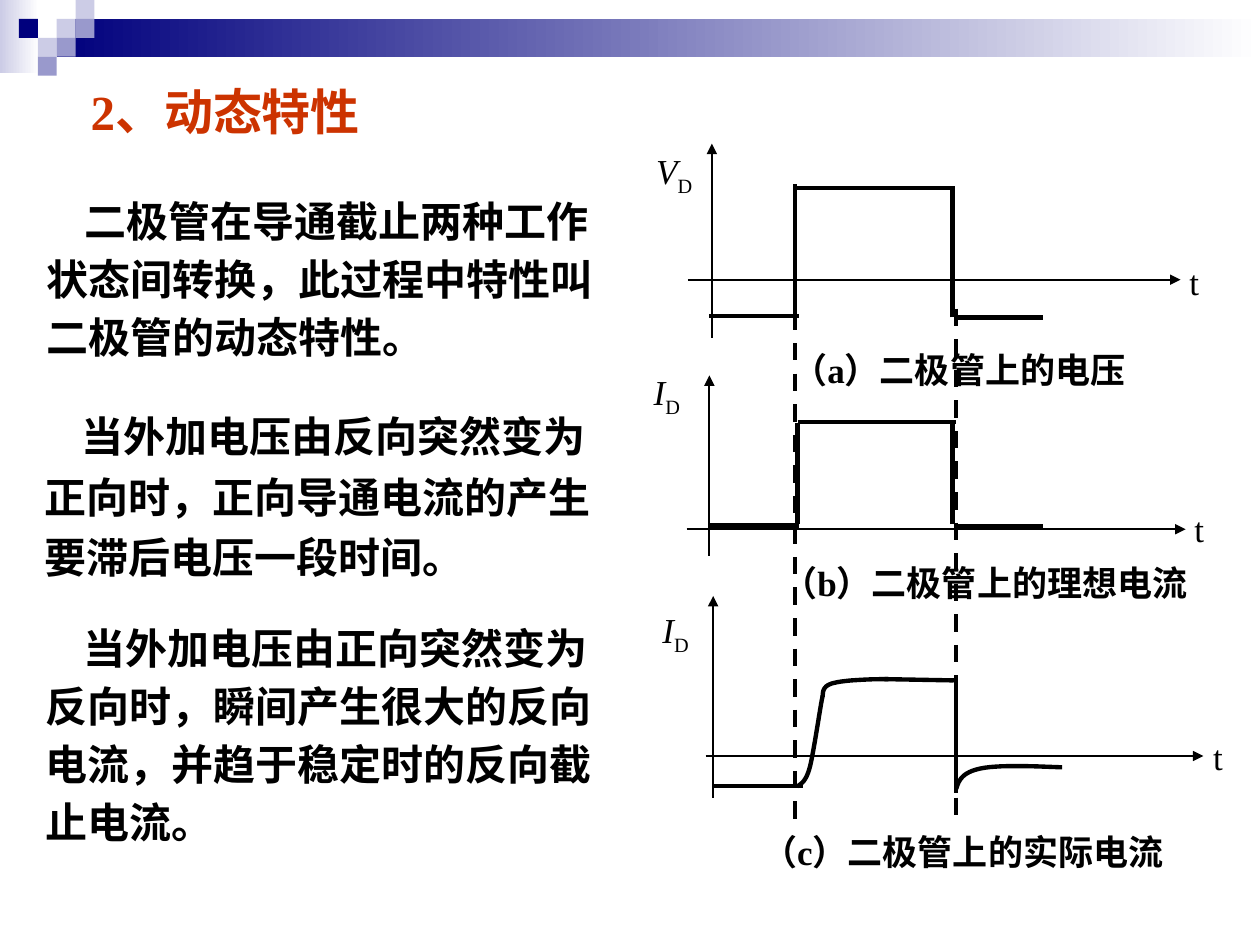
from dataclasses import dataclass

from lxml.etree import SubElement
from pptx import Presentation
from pptx.dml.color import RGBColor
from pptx.enum.dml import MSO_LINE_DASH_STYLE as Dash
from pptx.enum.shapes import MSO_CONNECTOR as Connector, MSO_SHAPE as Shape
from pptx.enum.text import MSO_ANCHOR as Anchor, MSO_AUTO_SIZE as AutoSize, PP_ALIGN as Align
from pptx.oxml.ns import qn
from pptx.util import Pt

EMU_PER_PX = 9144  # 100 px to the inch
SQUARE = 15
CURVE_STEPS = 12

Point = tuple[int, int]
Box = tuple[int, int, int, int]


@dataclass(frozen=True)
class Theme:
    navy: str = "00007D"
    violet: str = "9999CC"
    pale: str = "CCCCE6"
    white: str = "FFFFFF"
    accent: str = "CC3300"
    ink: str = "000000"
    serif: str = "Times New Roman"
    sans: str = "Noto Sans CJK SC"
    title_size: int = 28
    body_size: int = 24
    label_size: int = 20
    axis_width: float = 1.25
    signal_width: float = 2.5


@dataclass(frozen=True)
class Run:
    text: str
    size: int
    font: str
    color: str = "000000"
    bold: bool = False
    italic: bool = False
    subscript: bool = False


@dataclass(frozen=True)
class Passage:
    placeholder: int
    box: Box
    spacing: float
    text: str


@dataclass(frozen=True)
class Plot:
    time_axis: tuple[Point, Point]
    value_axis: tuple[Point, Point]
    signal: list[tuple[Point, Point]]
    curves: list[list[Point]]  # a start point, then three points per Bézier arc
    symbol: str
    symbol_box: Box
    time_box: Box
    caption: str
    caption_box: Box


THEME = Theme()

PASSAGES = [
    Passage(1, (27, 144, 456, 148), 1.15,
            "二极管在导通截止两种工作状态间转换，此过程中特性叫二极管的动态特性。"),
    Passage(2, (25, 313, 456, 154), 1.2,
            "当外加电压由反向突然变为正向时，正向导通电流的产生要滞后电压一段时间。"),
    Passage(3, (26, 483, 456, 194), 1.15,
            "当外加电压由正向突然变为反向时，瞬间产生很大的反向电流，并趋于稳定时的反向截止电流。"),
]

PLOTS = [
    Plot(((546, 222), (937, 222)), ((565, 268), (565, 114)),
         [((563, 251), (634, 251)), ((631, 251), (631, 146)), ((632, 149), (758, 149)),
          ((756, 252), (756, 148)), ((757, 252), (828, 252))],
         [], "V", (511, 114, 77, 48), (934, 202, 29, 44),
         "（a）二极管上的电压", (619, 272, 333, 44)),
    Plot(((545, 420), (941, 420)), ((563, 441), (563, 298)),
         [((563, 417), (634, 417)), ((633, 416), (633, 336)), ((633, 335), (759, 335)),
          ((757, 418), (828, 418)), ((756, 416), (756, 333))],
         [], "I", (509, 289, 77, 48), (938, 398, 29, 44),
         "（b）二极管上的理想电流", (611, 441, 389, 44)),
    Plot(((560, 600), (955, 600)), ((566, 633), (566, 473)),
         [((566, 624), (637, 624)), ((702, 539), (757, 540)), ((759, 629), (759, 541))],
         [[(633, 624), (636, 622), (640, 620), (643, 608), (646, 596), (651, 561), (653, 552)],
          [(653, 553), (653, 549), (653, 544), (662, 542), (670, 540), (688, 539), (705, 539)],
          [(759, 626), (761, 619), (764, 613), (778, 610), (792, 607), (817, 608), (843, 609)]],
         "I", (516, 478, 76, 48), (953, 579, 29, 44),
         "（c）二极管上的实际电流", (595, 654, 389, 44)),
]

SWITCHING_MARKS = [((631, 248), (631, 659)), ((759, 245), (759, 656))]


def px(length: float) -> int:
    return round(length * EMU_PER_PX)


def rgb(color: str) -> RGBColor:
    return RGBColor.from_string(color)


def add_block(slide, box: Box, color: str, fades: bool = False) -> None:
    shape = slide.shapes.add_shape(Shape.RECTANGLE, *map(px, box))
    shape.shadow.inherit = False
    shape.line.fill.background()
    if fades:
        shape.fill.gradient()
        shape.fill.gradient_angle = 180
        for stop, tint in zip(shape.fill.gradient_stops, (THEME.white, color)):
            stop.color.rgb = rgb(tint)
    else:
        shape.fill.solid()
        shape.fill.fore_color.rgb = rgb(color)


def add_line(slide, ends: tuple[Point, Point], width: float,
             arrow: bool = False, dashed: bool = False) -> None:
    (x1, y1), (x2, y2) = ends
    connector = slide.shapes.add_connector(Connector.STRAIGHT, px(x1), px(y1), px(x2), px(y2))
    connector.line.color.rgb = rgb(THEME.ink)
    connector.line.width = Pt(width)
    if dashed:
        connector.line.dash_style = Dash.DASH
    properties = connector._element.spPr
    if arrow:
        SubElement(properties.find(qn("a:ln")), qn("a:tailEnd"), type="triangle")
    SubElement(properties, qn("a:effectLst"))


def add_curve(slide, points: list[Point]) -> None:
    outline = []
    for first in range(0, len(points) - 1, 3):
        arc = points[first:first + 4]
        for step in range(1, CURVE_STEPS + 1):
            t = step / CURVE_STEPS
            weights = ((1 - t) ** 3, 3 * t * (1 - t) ** 2, 3 * t ** 2 * (1 - t), t ** 3)
            outline.append(tuple(px(sum(w * point[axis] for w, point in zip(weights, arc)))
                                 for axis in (0, 1)))
    builder = slide.shapes.build_freeform(px(points[0][0]), px(points[0][1]))
    builder.add_line_segments(outline, close=False)
    shape = builder.convert_to_shape()
    shape.shadow.inherit = False
    shape.fill.background()
    shape.line.color.rgb = rgb(THEME.ink)
    shape.line.width = Pt(THEME.signal_width)


def write(shape, runs: list[Run], spacing: float = 1.0, indent: int = 0) -> None:
    frame = shape.text_frame
    frame.word_wrap = True
    frame.auto_size = AutoSize.NONE
    frame.vertical_anchor = Anchor.TOP
    paragraph = frame.paragraphs[0]
    paragraph.alignment = Align.LEFT
    paragraph.line_spacing = spacing
    paragraph.space_before = Pt(0)
    properties = paragraph._p.get_or_add_pPr()
    properties.set("marL", "0")
    properties.set("indent", str(px(indent)))
    SubElement(properties, qn("a:buNone"))
    for item in runs:
        run = paragraph.add_run()
        run.text = item.text
        run.font.size = Pt(item.size)
        run.font.bold = item.bold
        run.font.italic = item.italic
        run.font.color.rgb = rgb(item.color)
        run.font.name = item.font
        run_properties = run._r.get_or_add_rPr()
        SubElement(run_properties, qn("a:ea"), typeface=THEME.sans)
        if item.subscript:
            run_properties.set("baseline", "-25000")


def place(shape, box: Box) -> None:
    shape.left, shape.top, shape.width, shape.height = map(px, box)


def add_label(slide, box: Box, runs: list[Run]) -> None:
    write(slide.shapes.add_textbox(*map(px, box)), runs)


def add_plot(slide, plot: Plot) -> None:
    for axis in (plot.time_axis, plot.value_axis):
        add_line(slide, axis, THEME.axis_width, arrow=True)
    for segment in plot.signal:
        add_line(slide, segment, THEME.signal_width)
    for curve in plot.curves:
        add_curve(slide, curve)


def add_plot_labels(slide, plot: Plot) -> None:
    size, font = THEME.label_size, THEME.serif
    add_label(slide, plot.caption_box, [Run(plot.caption, size, font, bold=True)])
    add_label(slide, plot.time_box, [Run("t", size, font)])
    add_label(slide, plot.symbol_box, [Run(plot.symbol, size, font, italic=True),
                                       Run("D", size, font, subscript=True)])


def main() -> None:
    presentation = Presentation()
    presentation.slide_width, presentation.slide_height = px(1000), px(750)
    slide = presentation.slides.add_slide(presentation.slide_layouts.get_by_name("Comparison"))
    holders = {holder.placeholder_format.idx: holder for holder in slide.placeholders}

    # Header band and its squares, by column and row
    add_block(slide, (0, 0, 31, 58), THEME.pale, fades=True)
    add_block(slide, (45, 15, 955, 30), THEME.navy, fades=True)
    for column, row, color in [(3, 1, THEME.pale), (4, 0, THEME.pale), (4, 1, THEME.violet),
                               (2, 2, THEME.pale), (1, 1, THEME.navy), (3, 2, THEME.violet),
                               (2, 3, THEME.violet)]:
        add_block(slide, (column * SQUARE, row * SQUARE, SQUARE, SQUARE), color)

    # Title and explanation
    place(holders[0], (62, 60, 331, 57))
    write(holders[0], [Run("2", THEME.title_size, THEME.serif, THEME.accent, bold=True),
                       Run("、动态特性", THEME.title_size, "Arial", THEME.accent, bold=True)])
    for passage in PASSAGES:
        holder = holders[passage.placeholder]
        place(holder, passage.box)
        write(holder, [Run(passage.text, THEME.body_size, THEME.sans, bold=True)],
              passage.spacing, indent=30)
    unused = holders[4]._element
    unused.getparent().remove(unused)

    # Waveforms, switching marks and labels
    for plot in PLOTS:
        add_plot(slide, plot)
    for mark in SWITCHING_MARKS:
        add_line(slide, mark, THEME.signal_width, dashed=True)
    for plot in PLOTS:
        add_plot_labels(slide, plot)

    presentation.save("out.pptx")


if __name__ == "__main__":
    main()
